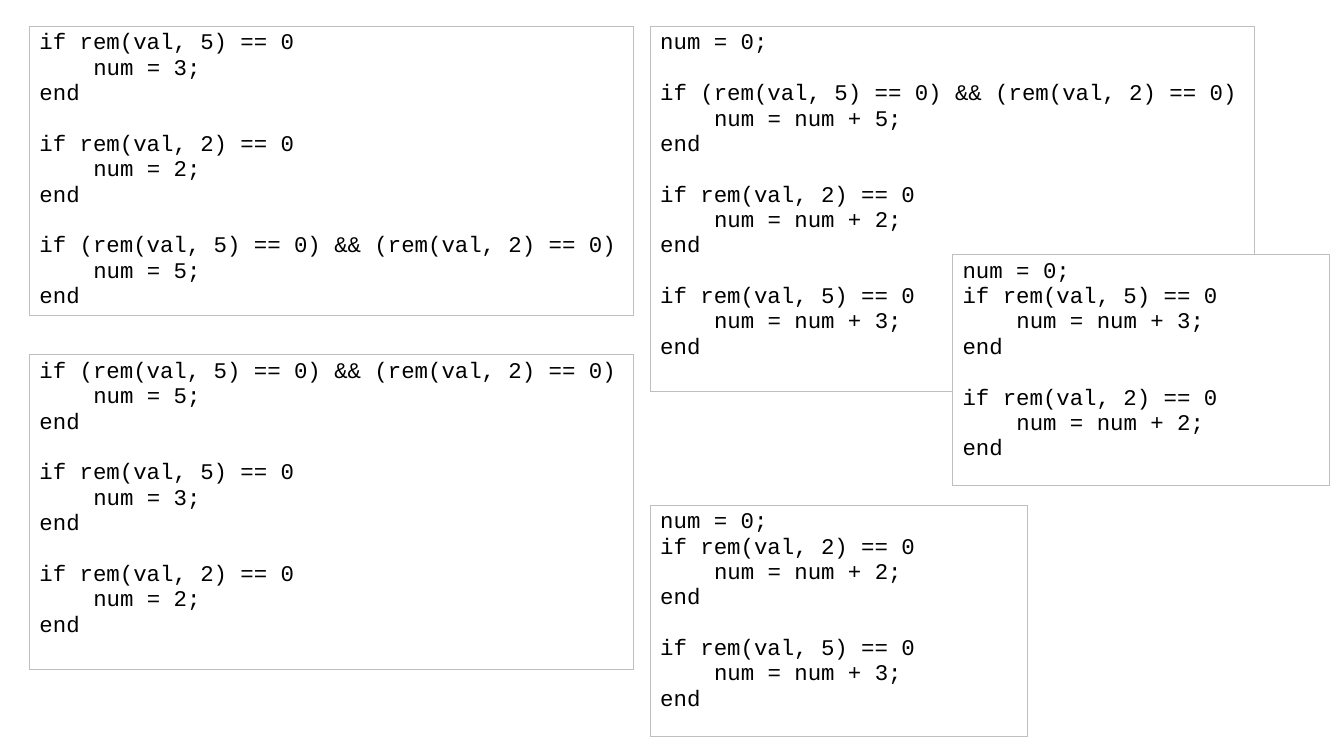
from lxml import etree
from pptx import Presentation
from pptx.dml.color import RGBColor
from pptx.oxml.ns import qn
from pptx.util import Pt

THEME = {
    "font": "Courier New", "size": 16, "line": 18.13, "indent": 38.4,
    "text": RGBColor(0, 0, 0), "fill": RGBColor(255, 255, 255),
    "border": "BFBFBF", "border_width": 0.75,
}

# Conditions and the lines shared by the programs
BY_FIVE = "if rem(val, 5) == 0"
BY_TWO = "if rem(val, 2) == 0"
BY_BOTH = "if (rem(val, 5) == 0) && (rem(val, 2) == 0)"
START = ["num = 0;"]
SCORE = {BY_FIVE: 3, BY_TWO: 2, BY_BOTH: 5}

# Layout
LEFT, MIDDLE, RIGHT = 21, 464.4, 680.4
TOP = 18.7
WIDE, NARROW = 431.3, 269.3


def make_blocks(tests, prefix=""):
    return [[test, f"num = {prefix}{SCORE[test]};", "end"] for test in tests]


def add_border(cell):
    properties = cell._tc.get_or_add_tcPr()
    for position, side in enumerate(("lnL", "lnR", "lnT", "lnB")):
        line = etree.Element(qn(f"a:{side}"), w=str(Pt(THEME["border_width"])))
        fill = etree.SubElement(line, qn("a:solidFill"))
        etree.SubElement(fill, qn("a:srgbClr"), val=THEME["border"])
        properties.insert(position, line)


# Each program: left, top, width, height, filled, blocks of lines
sum_five, sum_two, sum_both = make_blocks([BY_FIVE, BY_TWO, BY_BOTH], "num + ")
programs = [
    (LEFT, TOP, WIDE, 206.7, False, make_blocks([BY_FIVE, BY_TWO, BY_BOTH])),
    (MIDDLE, 360.7, NARROW, 165, False, [START + sum_two, sum_five]),
    (LEFT, 253.4, WIDE, 224.7, False, make_blocks([BY_BOTH, BY_FIVE, BY_TWO])),
    (MIDDLE, TOP, WIDE, 261, False, [START, sum_both, sum_two, sum_five]),
    (RIGHT, 181.8, NARROW, 165, True, [START + sum_five, sum_two]),
]

deck = Presentation()
deck.slide_width, deck.slide_height = Pt(960), Pt(540)
page = deck.slides.add_slide(deck.slide_layouts[6])

for left, top, width, height, filled, blocks in programs:
    # One-cell table framing the program
    table = page.shapes.add_table(
        1, 1, Pt(left), Pt(top), Pt(width), Pt(height)).table
    table.first_row = table.horz_banding = False
    cell = table.cell(0, 0)
    if filled:
        cell.fill.solid()
        cell.fill.fore_color.rgb = THEME["fill"]
    else:
        cell.fill.background()
    add_border(cell)

    # Code, with a one-line gap between blocks and indented assignments
    frame = cell.text_frame
    frame.text = "\n".join(line for block in blocks for line in block)
    paragraphs = iter(frame.paragraphs)
    for block_number, block in enumerate(blocks):
        for line_number, line in enumerate(block):
            para = next(paragraphs)
            if block_number and line_number == 0:
                para.space_before = Pt(THEME["line"])
            if line_number and block[line_number - 1].startswith("if"):
                para._p.get_or_add_pPr().set("marL", str(Pt(THEME["indent"])))
            font = para.runs[0].font
            font.name, font.size = THEME["font"], Pt(THEME["size"])
            font.bold = False
            font.color.rgb = THEME["text"]

deck.save("out.pptx")
